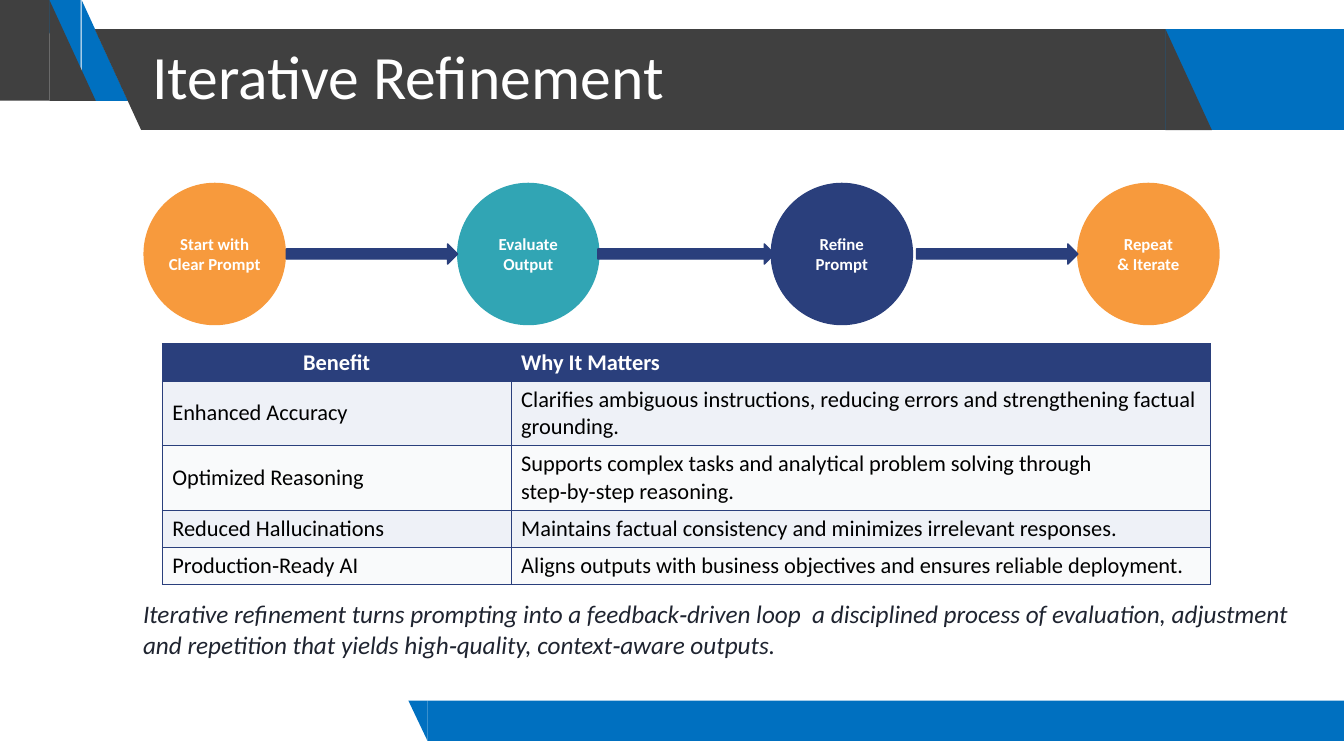
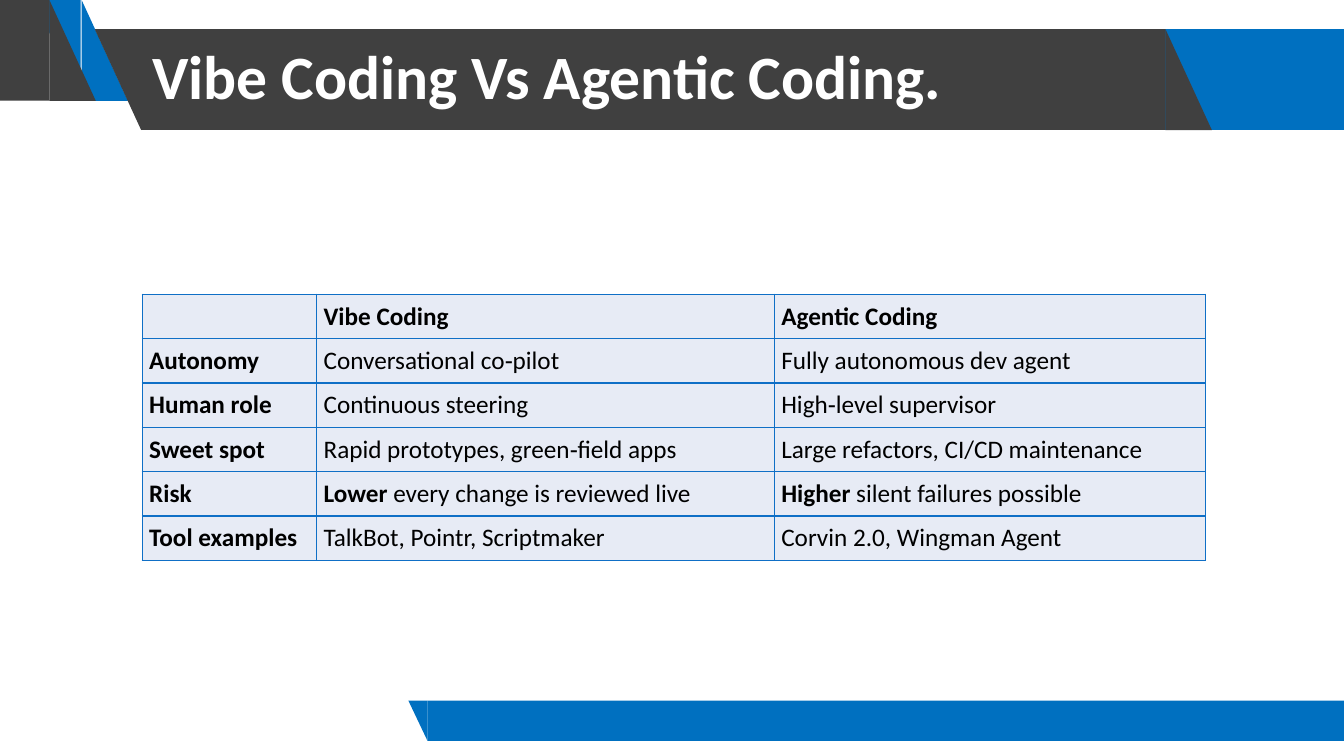
from dataclasses import dataclass

from lxml.etree import SubElement
from pptx import Presentation
from pptx.dml.color import RGBColor
from pptx.enum.shapes import MSO_SHAPE
from pptx.enum.text import MSO_ANCHOR, PP_ALIGN
from pptx.oxml.ns import qn
from pptx.util import Pt

PX = 9144  # EMU in one px, 100 px to the inch


@dataclass(frozen=True)
class Theme:
    font: str = "Calibri"
    blue: str = "0070C0"
    charcoal: str = "404040"
    navy: str = "2A3F7C"
    orange: str = "F79A3D"
    teal: str = "31A5B4"
    white: str = "FFFFFF"
    black: str = "000000"
    ink: str = "1F2430"
    stripe: str = "EEF1F7"
    pale: str = "F9FAFB"
    grid_blue: str = "0F6FC6"
    grid_fill: str = "E7EBF5"
    title_size: int = 44
    large_size: int = 18
    table_size: int = 16
    step_size: int = 12


theme = Theme()


def write(frame, lines, size, color, align=PP_ALIGN.LEFT, spacing=1.0, **font_values):
    """Fill a text frame, one paragraph a line; text between ** marks is bold."""
    frame.vertical_anchor = MSO_ANCHOR.MIDDLE
    for index, line in enumerate(lines):
        paragraph = frame.add_paragraph() if index else frame.paragraphs[0]
        paragraph.alignment = align
        paragraph.line_spacing = spacing
        for position, piece in enumerate(line.split("**")):
            if not piece:
                continue
            run = paragraph.add_run()
            run.text = piece
            run.font.color.rgb = RGBColor.from_string(color)
            values = {"name": theme.font, "size": Pt(size), "bold": position % 2 == 1}
            for name, value in (values | font_values).items():
                setattr(run.font, name, value)


def draw_table(slide, left, top, widths, heights, rows, look):
    """Draw a bordered table; look gives its fills, margins, border and text."""
    table = slide.shapes.add_table(
        len(rows), len(widths), left * PX, top * PX, sum(widths) * PX, sum(heights) * PX
    ).table
    table.first_row = table.horz_banding = False
    for column, width in zip(table.columns, widths):
        column.width = width * PX
    for row, height in zip(table.rows, heights):
        row.height = height * PX
    for row_index, row in enumerate(rows):
        is_header = row_index == 0
        for column_index, text in enumerate(row):
            cell = table.cell(row_index, column_index)
            for side, margin in zip(("left", "top", "right", "bottom"), look["margins"] * 2):
                setattr(cell, f"margin_{side}", margin * PX)
            cell.vertical_anchor = MSO_ANCHOR.MIDDLE
            properties = cell._tc.get_or_add_tcPr()
            for tag in ("a:lnL", "a:lnR", "a:lnT", "a:lnB"):
                border = SubElement(properties, qn(tag), w=str(Pt(look["border_width"])))
                fill = SubElement(border, qn("a:solidFill"))
                SubElement(fill, qn("a:srgbClr"), val=look["border"])
            cell.fill.solid()
            fills = look["fills"]
            color = look["header_fill"] if is_header else fills[(row_index - 1) % len(fills)]
            cell.fill.fore_color.rgb = RGBColor.from_string(color)
            centred = is_header and column_index == 0
            write(
                cell.text_frame, [text], look["size"],
                look["header_text"] if is_header else theme.black,
                PP_ALIGN.CENTER if centred else PP_ALIGN.LEFT,
            )


presentation = Presentation()
presentation.slide_width = 1333 * PX
presentation.slide_height = 750 * PX

# Bands shared by every slide: rectangles with right triangles as slanted ends
block, wedge = MSO_SHAPE.RECTANGLE, MSO_SHAPE.RIGHT_TRIANGLE
bands = [
    (block, 1068, 29, 265, 100, 0, theme.blue),
    (wedge, 81, 0, 46, 100, 0, theme.blue),
    (wedge, 34, 0, 46, 100, 180, theme.blue),
    (block, 0, 0, 49, 100, 0, theme.charcoal),
    (wedge, 49, 0, 46, 100, 0, theme.charcoal),
    (wedge, 94, 29, 46, 100, 180, theme.charcoal),
    (block, 140, 29, 1016, 100, 0, theme.charcoal),
    (wedge, 1156, 29, 46, 100, 0, theme.charcoal),
    (block, 424, 695, 909, 40, 0, theme.blue),
    (wedge, 405, 695, 19, 40, 180, theme.blue),
]
titles = ["Iterative Refinement", "**Vibe Coding Vs Agentic Coding.**"]
slides = []
for title in titles:
    slide = presentation.slides.add_slide(presentation.slide_layouts[6])
    slides.append(slide)
    for kind, left, top, width, height, rotation, color in bands:
        band = slide.shapes.add_shape(kind, left * PX, top * PX, width * PX, height * PX)
        band.rotation = rotation
        band.shadow.inherit = False
        band.fill.solid()
        band.fill.fore_color.rgb = RGBColor.from_string(color)
        band.line.fill.background()
    title_box = slide.shapes.add_textbox(141 * PX, 6 * PX, 1147 * PX, 145 * PX)
    title_box.text_frame.word_wrap = True
    write(title_box.text_frame, [title], theme.title_size, theme.white, spacing=0.9)

refinement_slide, comparison_slide = slides

# Refinement loop: circles, then the arrows between them
circle_size, circle_top, arrow_height = 140, 182, 20
steps = [
    (143, theme.orange, ["Start with", "Clear Prompt"]),
    (454, theme.teal, ["Evaluate", "Output"]),
    (765, theme.navy, ["Refine", "Prompt"]),
    (1069, theme.orange, ["Repeat", "& Iterate"]),
]
arrows = [(284, 170), (593, 175), (909, 160)]
arrow_top = circle_top + (circle_size - arrow_height) // 2
flow = [
    (MSO_SHAPE.OVAL, left, circle_top, circle_size, circle_size, color, lines)
    for left, color, lines in steps
] + [
    (MSO_SHAPE.RIGHT_ARROW, left, arrow_top, width, arrow_height, theme.navy, [])
    for left, width in arrows
]
for kind, left, top, width, height, color, lines in flow:
    shape = refinement_slide.shapes.add_shape(
        kind, left * PX, top * PX, width * PX, height * PX
    )
    shape.shadow.inherit = False
    shape.fill.solid()
    shape.fill.fore_color.rgb = RGBColor.from_string(color)
    shape.line.color.rgb = RGBColor.from_string(color)
    shape.line.width = Pt(1)
    shape.text_frame.word_wrap = False
    write(shape.text_frame, lines, theme.step_size, theme.white, PP_ALIGN.CENTER, bold=True)

benefits = [
    ("**Benefit**", "**Why It Matters**"),
    ("Enhanced Accuracy", "Clarifies ambiguous instructions, reducing errors and "
     "strengthening factual grounding."),
    ("Optimized Reasoning", "Supports complex tasks and analytical problem solving through "
     "step‑by‑step reasoning."),
    ("Reduced Hallucinations",
     "Maintains factual consistency and minimizes irrelevant responses."),
    ("Production‑Ready AI",
     "Aligns outputs with business objectives and ensures reliable deployment."),
]
benefit_look = {
    "header_fill": theme.navy, "header_text": theme.white,
    "fills": [theme.stripe, theme.pale], "border": theme.navy, "border_width": 0.5,
    "margins": (10, 5), "size": theme.table_size,
}
draw_table(refinement_slide, 161, 341, [346, 693], [37, 64, 64, 37, 37],
           benefits, benefit_look)

summary_box = refinement_slide.shapes.add_textbox(132 * PX, 587 * PX, 1171 * PX, 74 * PX)
summary_box.text_frame.word_wrap = True
summary = (
    "Iterative refinement turns prompting into a feedback‑driven loop  a disciplined process of "
    "evaluation, adjustment and repetition that yields high‑quality, context‑aware outputs."
)
write(summary_box.text_frame, [summary], theme.large_size, theme.ink, italic=True)

# Comparison of the two ways of coding
comparison = [
    ("", "**Vibe Coding**", "**Agentic Coding**"),
    ("**Autonomy**", "Conversational co‑pilot", "Fully autonomous dev agent"),
    ("**Human role**", "Continuous steering", "High‑level supervisor"),
    ("**Sweet spot**", "Rapid prototypes, green‑field apps",
     "Large refactors, CI/CD maintenance"),
    ("**Risk**", "**Lower** every change is reviewed live",
     "**Higher** silent failures possible"),
    ("**Tool examples**", "TalkBot, Pointr, Scriptmaker", "Corvin 2.0, Wingman Agent"),
]
comparison_look = {
    "header_fill": theme.grid_fill, "header_text": theme.black,
    "fills": [theme.grid_fill], "border": theme.grid_blue, "border_width": 1,
    "margins": (7, 6), "size": theme.large_size,
}
draw_table(comparison_slide, 141, 292, [173, 454, 428], [44] * len(comparison),
           comparison, comparison_look)

presentation.save("out.pptx")
